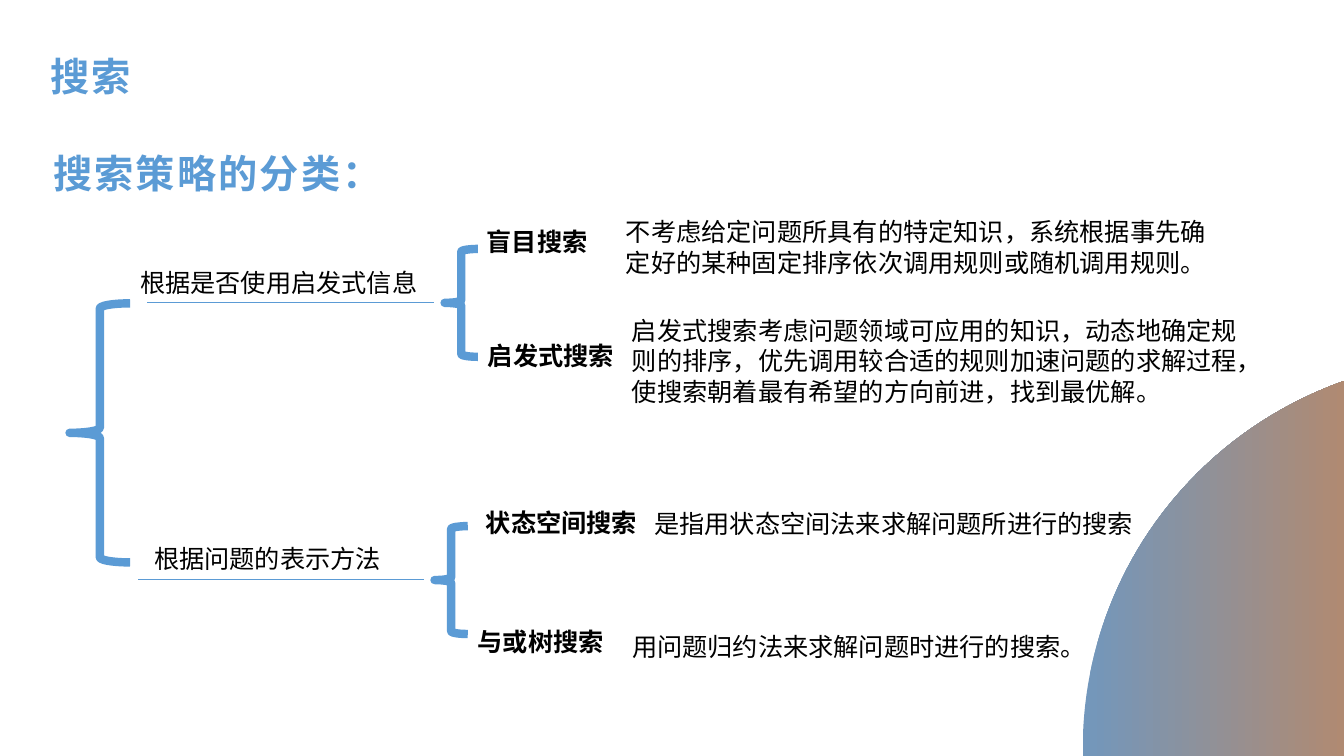
"""Build a slide that classifies search strategies as a brace tree."""
from dataclasses import dataclass

from lxml import etree
from pptx import Presentation
from pptx.dml.color import RGBColor
from pptx.enum.shapes import MSO_CONNECTOR, MSO_SHAPE
from pptx.enum.text import MSO_ANCHOR, MSO_AUTO_SIZE, PP_ALIGN
from pptx.oxml.ns import qn
from pptx.util import Inches, Pt

STRAIGHT = MSO_CONNECTOR.STRAIGHT
LEFT_BRACE = MSO_SHAPE.LEFT_BRACE
MIDDLE = MSO_ANCHOR.MIDDLE
LEFT = PP_ALIGN.LEFT
NO_FIT = MSO_AUTO_SIZE.NONE


@dataclass(frozen=True)
class Theme:
    blue: RGBColor = RGBColor(0x5B, 0x9B, 0xD5)
    black: RGBColor = RGBColor(0, 0, 0)
    arc_left: RGBColor = RGBColor(0x72, 0x97, 0xBC)
    arc_right: RGBColor = RGBColor(0xB0, 0x8A, 0x72)
    font: str = "Calibri"
    title_font: str = "Noto Sans CJK SC"
    heading_size: int = 28
    body_size: int = 18
    spacing: str = "160"
    brace_width: float = 6
    rule_width: float = 0.5


@dataclass(frozen=True)
class Label:
    text: str
    left: float
    top: float
    width: float
    height: float = 0.4
    bold: bool = False


@dataclass(frozen=True)
class Brace:
    left: float
    top: float
    width: float
    height: float


@dataclass(frozen=True)
class Rule:
    left: float
    top: float
    width: float = 2.84


THEME = Theme()

LABELS = [
    Label("根据是否使用启发式信息", 1.29, 2.6, 3.21),
    Label("盲目搜索", 4.73, 2.2, 1.44, bold=True),
    Label("不考虑给定问题所具有的特定知识，系统根据事先确定好的某种固定排序依次调用规则或随机调用规则。",
          6.11, 2.1, 6.05, 0.71),
    Label("启发式搜索", 4.74, 3.33, 1.68, bold=True),
    Label("启发式搜索考虑问题领域可应用的知识，动态地确定规则的排序，优先调用较合适的规则加速问题的求解过程，"
          "使搜索朝着最有希望的方向前进，找到最优解。", 6.17, 3.08, 6.37, 1.01),
    Label("根据问题的表示方法", 1.43, 5.34, 3.21),
    Label("状态空间搜索", 4.72, 4.98, 1.95, bold=True),
    Label("是指用状态空间法来求解问题所进行的搜索", 6.39, 4.99, 6.05),
    Label("与或树搜索", 4.64, 6.16, 1.95, bold=True),
    Label("用问题归约法来求解问题时进行的搜索。", 6.17, 6.21, 6.05),
]
BRACES = [
    Brace(0.69, 3.01, 0.6, 2.57),
    Brace(4.41, 2.47, 0.33, 1.07),
    Brace(4.31, 5.22, 0.33, 1.07),
]
RULES = [Rule(1.46, 3), Rule(1.37, 5.75)]

ARC_CURVES = [
    ((10.74, 7.5), (10.72, 6.49), (11.1, 5.47), (11.87, 4.7)),
    ((11.87, 4.7), (12.3, 4.27), (12.8, 3.97), (13.33, 3.78)),
]
CORNER = (13.33, 7.5)
CURVE_STEPS = 30


def curve_point(curve: tuple, t: float) -> tuple:
    """Return the point of a cubic curve at t."""
    weights = ((1 - t) ** 3, 3 * t * (1 - t) ** 2, 3 * t ** 2 * (1 - t), t ** 3)
    return tuple(sum(w * p[axis] for w, p in zip(weights, curve)) for axis in (0, 1))


def add_arc(slide) -> None:
    """Draw the gradient arc in the lower right corner."""
    points = [curve_point(curve, i / CURVE_STEPS)
              for curve in ARC_CURVES for i in range(CURVE_STEPS + 1)]
    points = [(Inches(x), Inches(y)) for x, y in points + [CORNER]]
    builder = slide.shapes.build_freeform(*points[0])
    builder.add_line_segments(points[1:], close=True)
    s = builder.convert_to_shape()
    s.shadow.inherit = False
    s.line.fill.background()
    s.fill.gradient()
    s.fill.gradient_angle = 0
    for stop, color in zip(s.fill.gradient_stops, (THEME.arc_left, THEME.arc_right)):
        stop.color.rgb = color


def format_heading(p, font: str) -> None:
    """Apply the blue, spaced heading style to a paragraph."""
    p.alignment = LEFT
    r = p.runs[0]
    r.font.name = font
    r.font.size = Pt(THEME.heading_size)
    r.font.bold = True
    r.font.color.rgb = THEME.blue
    r.font._element.set("spc", THEME.spacing)


def set_title(slide, text: str) -> None:
    """Place and format the slide title."""
    s = slide.shapes.title
    s.left, s.top, s.width, s.height = (Inches(v) for v in (0.43, 0.46, 5.37, 0.59))
    tf = s.text_frame
    tf.text = text
    tf.auto_size = NO_FIT
    tf.vertical_anchor = MIDDLE
    tf.margin_left = tf.margin_right = Inches(0.07)
    tf.margin_top = tf.margin_bottom = Inches(0.03)
    format_heading(tf.paragraphs[0], THEME.title_font)


def add_text(slide, label: Label):
    """Add a wrapping text box and return its paragraph."""
    box = (Inches(v) for v in (label.left, label.top, label.width, label.height))
    tf = slide.shapes.add_textbox(*box).text_frame
    tf.word_wrap = True
    tf.text = label.text
    p = tf.paragraphs[0]
    r = p.runs[0]
    r.font.name = THEME.font
    r.font.size = Pt(THEME.body_size)
    r.font.bold = label.bold
    r.font.color.rgb = THEME.black
    return p


def add_brace(slide, brace: Brace) -> None:
    """Draw a thick left brace."""
    box = (Inches(v) for v in (brace.left, brace.top, brace.width, brace.height))
    s = slide.shapes.add_shape(LEFT_BRACE, *box)
    s.shadow.inherit = False
    s.fill.background()
    s.line.color.rgb = THEME.blue
    s.line.width = Pt(THEME.brace_width)


def add_rule(slide, rule: Rule) -> None:
    """Draw a thin horizontal line under a branch."""
    y = Inches(rule.top)
    s = slide.shapes.add_connector(
        STRAIGHT, Inches(rule.left), y, Inches(rule.left + rule.width), y)
    s.line.color.rgb = THEME.blue
    s.line.width = Pt(THEME.rule_width)
    etree.SubElement(s._element.spPr, qn("a:effectLst"))


def main() -> None:
    """Build and save the slide."""
    prs = Presentation()
    prs.slide_width, prs.slide_height = Inches(13.33), Inches(7.5)
    slide = prs.slides.add_slide(prs.slide_layouts.get_by_name("Title Only"))
    add_arc(slide)
    set_title(slide, "搜索")
    p = add_text(slide, Label("搜索策略的分类：", 0.43, 1.2, 7.24, 5.2))
    p.line_spacing = 1.5
    format_heading(p, THEME.font)
    for brace in BRACES:
        add_brace(slide, brace)
    for rule in RULES:
        add_rule(slide, rule)
    for label in LABELS:
        add_text(slide, label)
    prs.save("out.pptx")


if __name__ == "__main__":
    main()
